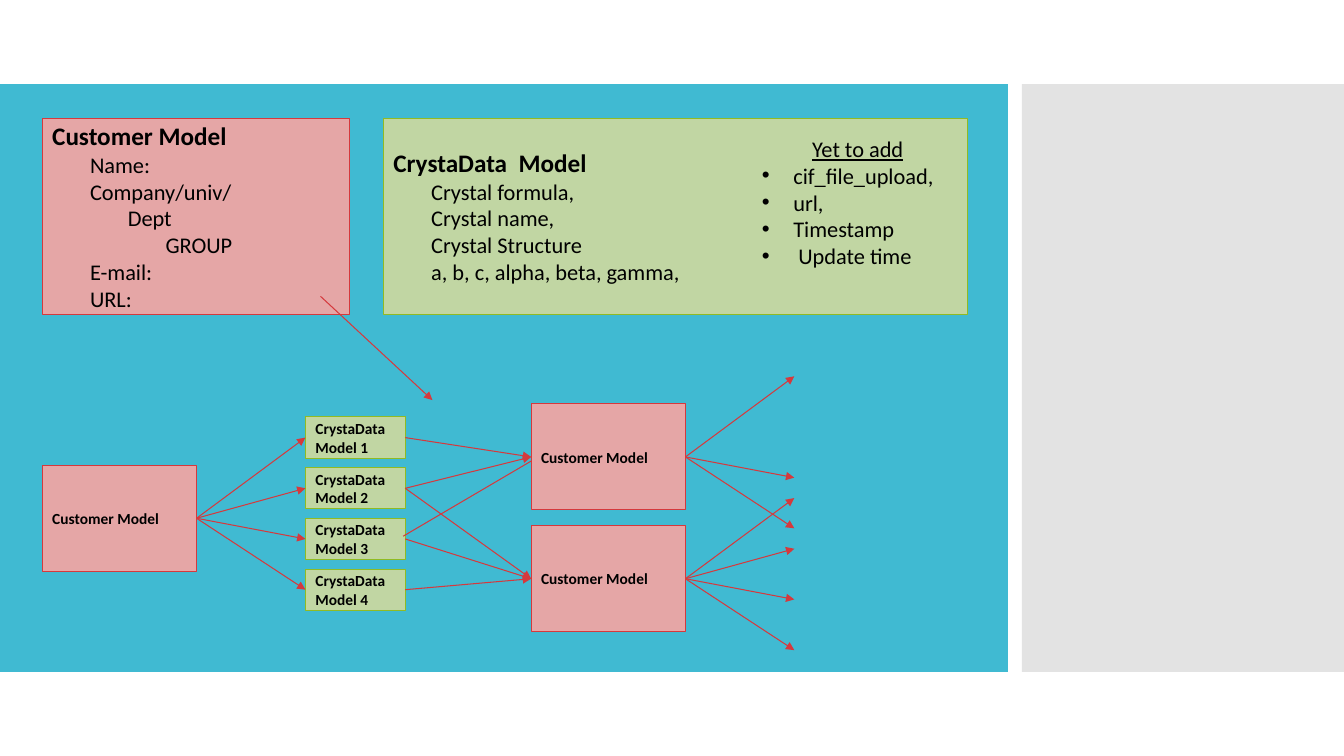
from dataclasses import dataclass

from lxml import etree
from pptx import Presentation
from pptx.dml.color import RGBColor
from pptx.enum.shapes import MSO_CONNECTOR, MSO_SHAPE
from pptx.enum.text import MSO_ANCHOR, PP_ALIGN
from pptx.oxml.ns import qn
from pptx.util import Pt

RECTANGLE = MSO_SHAPE.RECTANGLE
STRAIGHT = MSO_CONNECTOR.STRAIGHT
MIDDLE = MSO_ANCHOR.MIDDLE
LEFT = PP_ALIGN.LEFT


@dataclass(frozen=True)
class Theme:
    font: str = "Calibri"
    text: str = "000000"
    stage: str = "40BAD2"
    side: str = "E3E3E3"
    customer: tuple = ("E5A6A6", "D5393D")
    crystal: tuple = ("C1D6A3", "90BB23")
    arrow: str = "D5393D"
    heading: int = 18
    body: int = 16
    label: int = 11
    line: float = 0.75


theme = Theme()
rgb = RGBColor.from_string

presentation = Presentation()
presentation.slide_width, presentation.slide_height = Pt(960), Pt(540)
slide = presentation.slides.add_slide(presentation.slide_layouts[6])
shapes = slide.shapes


def add_box(left, top, width, height, colors, lines=()):
    """Add a box; each line is (text, size, bold, indent)."""
    box = shapes.add_shape(RECTANGLE, Pt(left), Pt(top), Pt(width), Pt(height))
    box.shadow.inherit = False
    fill, outline = colors
    box.fill.solid()
    box.fill.fore_color.rgb = rgb(fill)
    if outline:
        box.line.color.rgb = rgb(outline)
        box.line.width = Pt(theme.line)
    else:
        box.line.fill.background()
    frame = box.text_frame
    frame.word_wrap = True
    frame.vertical_anchor = MIDDLE
    frame.text = "\n".join(line[0] for line in lines)
    for paragraph, (_, size, bold, indent) in zip(frame.paragraphs, lines):
        paragraph.alignment = LEFT
        paragraph._p.get_or_add_pPr().set("marL", str(Pt(indent)))
        font = paragraph.font
        font.name, font.size, font.bold = theme.font, Pt(size), bold
        font.color.rgb = rgb(theme.text)


def add_arrow(start, end):
    arrow = shapes.add_connector(STRAIGHT, *map(Pt, start + end))
    arrow.line.color.rgb = rgb(theme.arrow)
    arrow.line.width = Pt(theme.line)
    etree.SubElement(arrow.line._get_or_add_ln(), qn("a:tailEnd"), type="triangle")
    etree.SubElement(arrow._element.spPr, qn("a:effectLst"))


# Background panels
add_box(0, 60, 720, 420, (theme.stage, None))
add_box(730, 60, 230, 420, (theme.side, None))

# Model definitions
customer_fields = [("Name: ", 27), ("Company/univ/", 27), ("Dept", 54),
                   ("GROUP", 81), ("E-mail:", 27), ("URL: ", 27)]
crystal_fields = [("Crystal formula,", 27), ("Crystal name,", 27),
                  ("Crystal Structure ", 27), ("a, b, c, alpha, beta, gamma, ", 27)]
definitions = [
    (30.2, 219.2, theme.customer, "Customer Model", customer_fields),
    (273.9, 417, theme.crystal, "CrystaData  Model", crystal_fields),
]
for left, width, colors, title, fields in definitions:
    lines = [(title, theme.heading, True, 0)]
    lines += [(field, theme.body, False, indent) for field, indent in fields]
    add_box(left, 84.3, width, 140.4, colors, lines)

# Fields still to add
todo = shapes.add_textbox(Pt(537.1), Pt(92.9), Pt(136.8), Pt(104.4)).text_frame
todo.word_wrap = True
todo.text = "Yet to add\ncif_file_upload, \nurl, \nTimestamp\n Update time "
for row, paragraph in enumerate(todo.paragraphs):
    font = paragraph.font
    font.name, font.size = theme.font, Pt(theme.body)
    font.color.rgb = rgb(theme.text)
    properties = paragraph._p.get_or_add_pPr()
    if row == 0:
        paragraph.runs[0].font.underline = True
        properties.set("marL", str(Pt(36)))
    else:
        properties.set("marL", str(Pt(22.5)))
        properties.set("indent", str(-Pt(22.5)))
        bullet_font = etree.Element(qn("a:buFont"), typeface="Arial")
        bullet = etree.Element(qn("a:buChar"), char="•")
        properties.find(qn("a:defRPr")).addprevious(bullet_font)
        bullet_font.addnext(bullet)

# Positions in the relation diagram
customer_w, customer_h = 110.2, 75.8
crystal_w, crystal_h = 71.3, 29.5
source_left, crystal_left, target_left = 30.2, 218.2, 379.4
source_y, upper_y, lower_y = 370.2, 326.4, 413.4
fan = [-57.6 + 36.2 * step for step in range(4)]
fan_reach = crystal_left - source_left - customer_w
crystal_ys = [source_y + offset for offset in fan]

# Crystal data boxes
for number, y in enumerate(crystal_ys, 1):
    add_box(crystal_left, y - crystal_h / 2, crystal_w, crystal_h, theme.crystal,
            [(f"CrystaData  Model {number}", theme.label, True, 0)])

# Arrows fanning out of each customer
fans = [(source_left, source_y, fan),
        (target_left, upper_y, [fan[0]] + fan[2:]),
        (target_left, lower_y, fan)]
for left, y, offsets in fans:
    start_x = left + customer_w
    for offset in offsets:
        add_arrow((start_x, y), (start_x + fan_reach, y + offset))

# Arrows from crystal data to customers
links = [(0, upper_y), (1, upper_y), (1, lower_y), (2, lower_y), (3, lower_y)]
for index, y in links:
    add_arrow((crystal_left + crystal_w, crystal_ys[index]), (target_left, y))
add_arrow((288, 383), (386, 325.5))

# Customer boxes
for left, y in [(source_left, source_y), (target_left, upper_y), (target_left, lower_y)]:
    add_box(left, y - customer_h / 2, customer_w, customer_h, theme.customer,
            [("Customer Model", theme.label, True, 0)])

# Arrow from the customer definition to the diagram
add_arrow((229, 211.7), (308.9, 285.8))

presentation.save("out.pptx")
